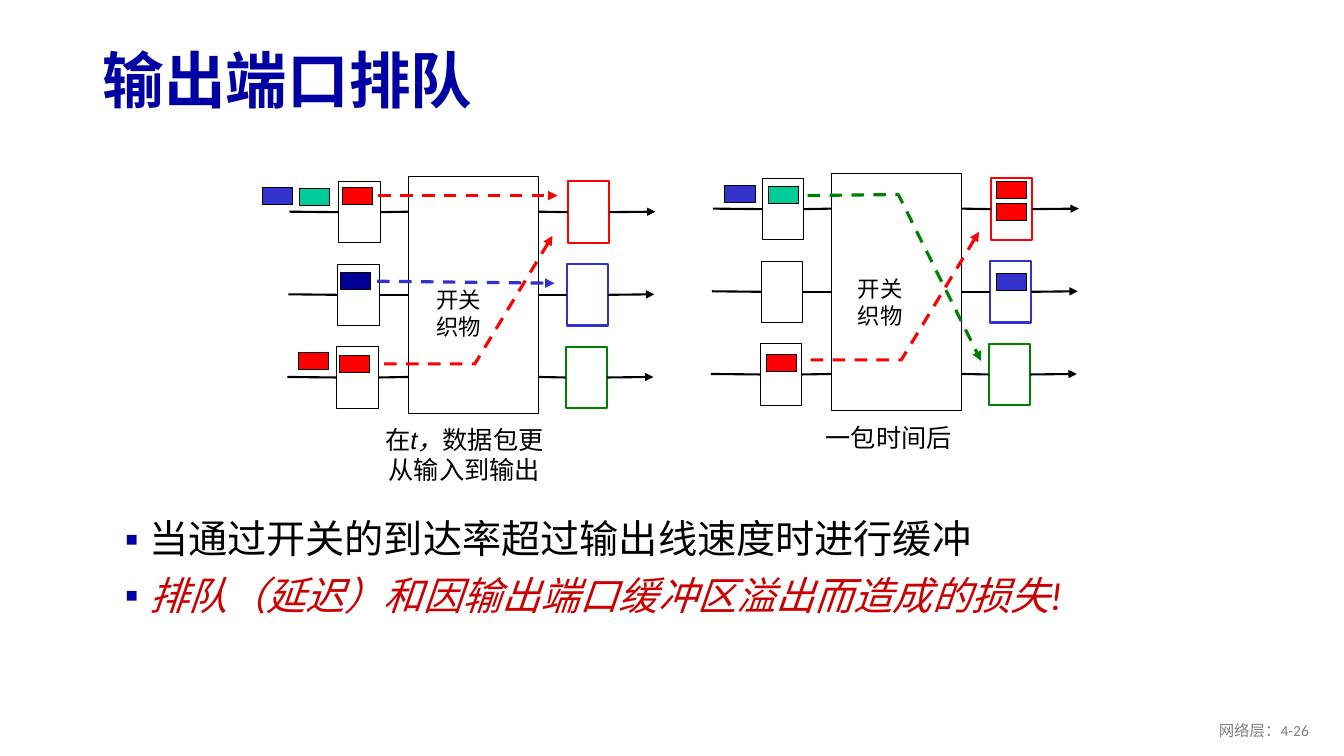
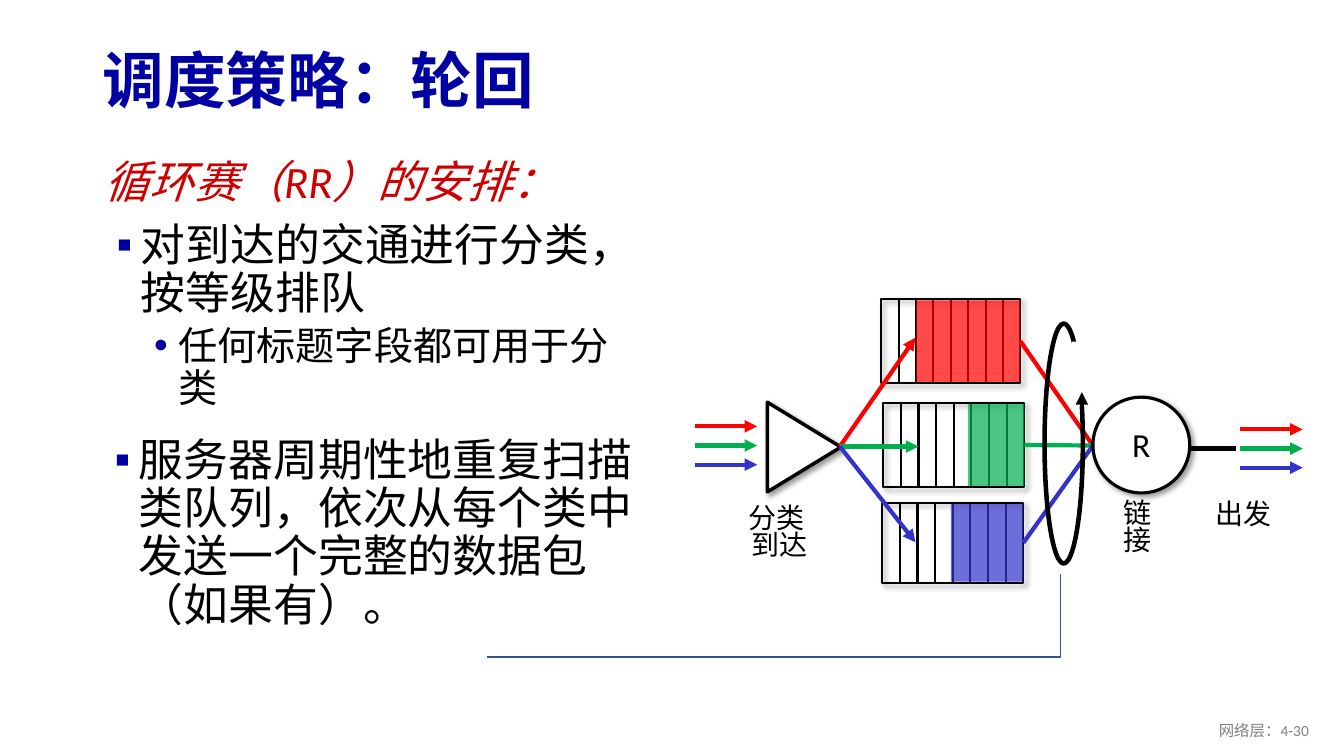
from dataclasses import dataclass
from typing import NamedTuple

from lxml.etree import SubElement
from pptx import Presentation
from pptx.dml.color import RGBColor
from pptx.enum.dml import MSO_LINE
from pptx.enum.shapes import MSO_CONNECTOR, MSO_SHAPE
from pptx.enum.text import MSO_ANCHOR, PP_ALIGN
from pptx.oxml.ns import qn
from pptx.util import Inches, Pt

BLACK, WHITE, GRAY = "000000", "FFFFFF", "808080"
NAVY, DARK, CRIMSON = "0000A3", "000099", "CC0000"
RED, BLUE, GREEN, LEAF, TEAL = "FF0000", "3333CC", "008000", "00B050", "00CC99"
STEEL = "325491"
LEFT, CENTER, RIGHT = PP_ALIGN.LEFT, PP_ALIGN.CENTER, PP_ALIGN.RIGHT
RECT, OVAL = MSO_SHAPE.RECTANGLE, MSO_SHAPE.OVAL
Point = tuple[float, float]


class Box(NamedTuple):
    x: float
    y: float
    w: float
    h: float


@dataclass
class Para:
    runs: tuple[str, ...]
    size: float
    color: str = BLACK
    face: str = "Calibri"
    bold: bool = False
    slant: bool = False
    align: PP_ALIGN = LEFT
    lead: float = 1.0
    before: float = 0
    margin: float = 0
    mark: str = ""
    level: int = 0


@dataclass
class Packet:
    x: float
    y: float
    color: str


@dataclass
class Route:
    points: tuple[Point, ...]
    color: str


@dataclass
class Panel:
    x: float
    y: float
    packets: tuple[Packet, ...]
    routes: tuple[Route, ...]
    label: Box
    note: Box
    lines: tuple[tuple[str, ...], ...]


@dataclass
class Queue:
    box: Box
    color: str
    fill: float
    entry: Point


def paint(code: str) -> RGBColor:
    return RGBColor.from_string(code)


def place(box: Box) -> list[int]:
    return [Inches(v) for v in box]


def stroke(line, color: str, width: float, dash: bool = False, arrow: bool = False) -> None:
    line.color.rgb = paint(color)
    line.width = Pt(width)
    if dash:
        line.dash_style = MSO_LINE.DASH
    if arrow:
        SubElement(line._get_or_add_ln(), qn("a:tailEnd"), type="triangle")


def write(slide, box: Box, paras: list[Para], wrap: bool = True, middle: bool = False) -> None:
    frame = slide.shapes.add_textbox(*place(box)).text_frame
    frame.word_wrap = wrap
    frame.vertical_anchor = MSO_ANCHOR.MIDDLE if middle else MSO_ANCHOR.TOP
    for i, item in enumerate(paras):
        para = frame.add_paragraph() if i else frame.paragraphs[0]
        para.alignment, para.level = item.align, item.level
        if item.lead != 1:
            para.line_spacing = item.lead
        if i and item.before:
            para.space_before = Pt(item.before)
        props = para._p.get_or_add_pPr()
        if item.margin:
            props.set("marL", str(Inches(item.margin)))
            props.set("indent", str(Inches(-0.24)))
        if item.mark:
            SubElement(SubElement(props, qn("a:buClr")), qn("a:srgbClr"), val=NAVY)
            SubElement(props, qn("a:buFont"), typeface="Arial")
            SubElement(props, qn("a:buChar"), char=item.mark)
        font = para.font
        font.size, font.name = Pt(item.size), item.face
        font.bold, font.italic = item.bold, item.slant
        font.color.rgb = paint(item.color)
        for j, text in enumerate(item.runs):
            run = para.add_run()
            run.text = text
            if j % 2:
                run.font.italic = True


def draw(slide, kind: MSO_SHAPE, box: Box, fill: str = "", line: str = "",
         width: float = 0.75, alpha: int = 100, shade: bool = False):
    shape = slide.shapes.add_shape(kind, *place(box))
    shape.shadow.inherit = False
    if fill:
        shape.fill.solid()
        shape.fill.fore_color.rgb = paint(fill)
        if alpha < 100:
            tint = shape._element.spPr.find(".//" + qn("a:srgbClr"))
            SubElement(tint, qn("a:alpha"), val=str(alpha * 1000))
    else:
        shape.fill.background()
    if line:
        stroke(shape.line, line, width)
    else:
        shape.line.fill.background()
    if shade:
        effects = shape._element.spPr.find(qn("a:effectLst"))
        cast = SubElement(effects, qn("a:outerShdw"), blurRad=str(Pt(4)), dist=str(Pt(3)),
                          dir=str(45 * 60000), algn="tl", rotWithShape="0")
        tint = SubElement(cast, qn("a:srgbClr"), val=BLACK)
        SubElement(tint, qn("a:alpha"), val="40000")
    return shape


def link(slide, start: Point, end: Point, color: str = BLACK, width: float = 1.5,
         dash: bool = False, arrow: bool = False, tie=None, join=None) -> None:
    ends = [Inches(v) for v in (*start, *end)]
    wire = slide.shapes.add_connector(MSO_CONNECTOR.STRAIGHT, *ends)
    stroke(wire.line, color, width, dash, arrow)
    SubElement(wire._element.spPr, qn("a:effectLst"))
    if tie is not None:
        wire.begin_connect(tie, 3)
    if join is not None:
        wire.end_connect(join, 1)


def trace(slide, points: tuple[Point, ...], color: str, width: float,
          dash: bool = False, arrow: bool = False) -> None:
    first, *rest = [(Inches(x), Inches(y)) for x, y in points]
    pen = slide.shapes.build_freeform(*first)
    pen.add_line_segments(rest, close=False)
    shape = pen.convert_to_shape()
    shape.shadow.inherit = False
    shape.fill.background()
    stroke(shape.line, color, width, dash, arrow)


def start(deck, title: str, page: int):
    slide = deck.slides.add_slide(deck.slide_layouts[6])
    write(slide, Box(0.92, 0.34, 11.5, 0.98),
          [Para((title,), 44, NAVY, bold=True, lead=0.9)], middle=True)
    write(slide, Box(10.08, 7.05, 3, 0.4),
          [Para((f"网络层：4-{page}",), 11, GRAY, align=RIGHT)], middle=True)
    return slide


def switch(slide, panel: Panel) -> None:
    x, y = panel.x, panel.y
    fabric = draw(slide, RECT, Box(x, y, 1.29, 2.35), WHITE, BLACK)
    for row, color in enumerate((RED, BLUE, GREEN)):
        top, shift = y + 0.05 + 0.82 * row, x - 0.01 * row
        mid = top + 0.3
        side = fabric if row == 1 else None
        inlet = draw(slide, RECT, Box(shift - 0.69, top, 0.41, 0.61), WHITE, BLACK)
        port = draw(slide, RECT, Box(shift + 1.58, top, 0.41, 0.61), WHITE, color, 1.5)
        link(slide, (shift - 1.18, mid), (shift - 0.69, mid), join=inlet)
        link(slide, (shift - 0.28, mid), (x, mid), tie=inlet, join=side)
        link(slide, (x + 1.29, mid), (shift + 1.58, mid), tie=side, join=port)
        link(slide, (shift + 1.99, mid), (shift + 2.45, mid), arrow=True, tie=port)
    for item in panel.packets:
        draw(slide, RECT, Box(item.x, item.y, 0.3, 0.17), item.color, BLACK)
    for route in panel.routes:
        if len(route.points) == 2:
            link(slide, *route.points, route.color, 2.25, True, True)
        else:
            trace(slide, route.points, route.color, 2.25, True, True)
    write(slide, panel.label,
          [Para((text,), 16, face="Arial") for text in ("开关", "织物")], wrap=False)
    write(slide, panel.note,
          [Para(runs, 18, face="Arial", align=CENTER) for runs in panel.lines])


def ports(deck) -> None:
    slide = start(deck, "输出端口排队", 26)
    now = Panel(
        4.05, 1.75,
        (Packet(3.4, 1.86, RED), Packet(3.38, 2.7, DARK), Packet(3.37, 3.53, RED),
         Packet(2.97, 1.87, TEAL), Packet(2.96, 3.5, RED), Packet(2.6, 1.86, BLUE)),
        (Route(((3.75, 1.94), (5.53, 1.94)), RED),
         Route(((3.81, 3.61), (4.71, 3.61), (5.48, 2.34)), RED),
         Route(((3.74, 2.79), (5.5, 2.81)), BLUE)),
        Box(4.23, 2.79, 0.82, 0.64), Box(3.26, 4.16, 2.69, 0.7),
        (("在", "t，", "数据包更"), ("从输入到输出",)))
    later = Panel(
        8.25, 1.72,
        (Packet(9.88, 1.8, RED), Packet(9.88, 2.71, BLUE), Packet(9.88, 2.02, RED),
         Packet(7.62, 1.85, TEAL), Packet(7.6, 3.52, RED), Packet(7.19, 1.84, BLUE)),
        (Route(((8.04, 3.57), (8.94, 3.57), (9.71, 2.3)), RED),
         Route(((8.01, 1.94), (8.91, 1.93), (9.73, 3.58)), GREEN)),
        Box(8.41, 2.68, 0.82, 0.64), Box(7.47, 4.14, 2.69, 0.4),
        (("一包时间后",),))
    for panel in (now, later):
        switch(slide, panel)
    write(slide, Box(0.99, 5.11, 11, 1.92), [
        Para(("当通过开关的到达率超过输出线速度时进行缓冲",), 28,
             lead=0.9, margin=0.39, mark="▪"),
        Para(("排队（延迟）和因输出端口缓冲区溢出而造成的损失!",), 28, CRIMSON, slant=True,
             lead=0.9, before=10, margin=0.39, mark="▪")])


def robin(deck) -> None:
    slide = start(deck, "调度策略：轮回", 30)
    write(slide, Box(0.79, 1.54, 5.64, 2.75), [
        Para(("循环赛（RR）的安排：",), 32, CRIMSON, slant=True, lead=0.9, margin=0.39),
        Para(("对到达的交通进行分类，按等级排队",), 32,
             lead=0.9, before=10, margin=0.51, mark="▪"),
        Para(("任何标题字段都可用于分类",), 28,
             lead=0.9, before=5, margin=0.88, mark="•", level=1)])
    write(slide, Box(0.77, 4.29, 5.64, 2.57), [
        Para(("服务器周期性地重复扫描类队列，依次从每个类中发送一个完整的数据包（如果有）。",), 32,
             lead=0.9, margin=0.51, mark="▪")])
    link(slide, (11.76, 4.45), (12.26, 4.45), width=3)
    queues = (Queue(Box(8.74, 2.97, 1.38, 0.83), RED, 1.03, (9.08, 3.35)),
              Queue(Box(8.76, 4, 1.4, 0.83), LEAF, 0.56, (9.11, 4.43)),
              Queue(Box(8.75, 4.99, 1.4, 0.79), BLUE, 0.72, (9.08, 5.38)))
    frames = []
    for queue in queues:
        x, y, w, h = queue.box
        frames.append(draw(slide, RECT, queue.box, line=BLACK, width=1.5, shade=True))
        for i in range(1, 8):
            slot = x + i * w / 8
            link(slide, (slot, y), (slot, y + h))
        draw(slide, RECT, Box(x + w - queue.fill, y + 0.01, queue.fill, h - 0.02),
             queue.color, alpha=71)
    wedge = draw(slide, MSO_SHAPE.ISOSCELES_TRIANGLE, Box(7.53, 4.07, 0.89, 0.73),
                 WHITE, BLACK, 2.5, shade=True)
    wedge.rotation = 90
    for x, y in ((6.89, 4.23), (12.3, 4.26)):
        for i, queue in enumerate(queues):
            row = y + 0.19 * i
            link(slide, (x, row), (x + 0.62, row), queue.color, 3, arrow=True)
    for queue in queues:
        link(slide, (8.33, 4.43), queue.entry, queue.color, 3, arrow=True)
    for queue, frame in zip(queues, frames):
        x, y, w, h = queue.box
        link(slide, (x + w, y + h / 2), (10.84, 4.42), queue.color, 3, tie=frame)
    draw(slide, OVAL, Box(10.84, 3.94, 0.96, 0.95), WHITE, BLACK, 2.25, shade=True)
    labels = ((Box(7.19, 4.98, 1.08, 0.65), ("分类 ", "到达"), 20, False),
              (Box(11.6, 4.94, 1.46, 0.38), ("出发",), 20, False),
              (Box(10.98, 4.93, 0.61, 0.38), ("链接",), 20, True),
              (Box(11.13, 4.23, 0.38, 0.43), ("R",), 24, False))
    for box, texts, size, wrap in labels:
        write(slide, box, [Para((text,), size, align=CENTER, lead=0.8) for text in texts], wrap)
    draw(slide, OVAL, Box(10.36, 3.21, 0.38, 2.38), line=BLACK, width=3.25)
    draw(slide, RECT, Box(10.63, 3.39, 0.21, 0.64), WHITE)
    link(slide, (10.73, 4.18), (10.73, 3.89), width=3, arrow=True)
    trace(slide, ((4.83, 6.52), (10.52, 6.52), (10.52, 5.69)), STEEL, 1)


def main() -> None:
    deck = Presentation()
    deck.slide_width, deck.slide_height = Inches(13.33), Inches(7.5)
    ports(deck)
    robin(deck)
    deck.save("out.pptx")


if __name__ == "__main__":
    main()
